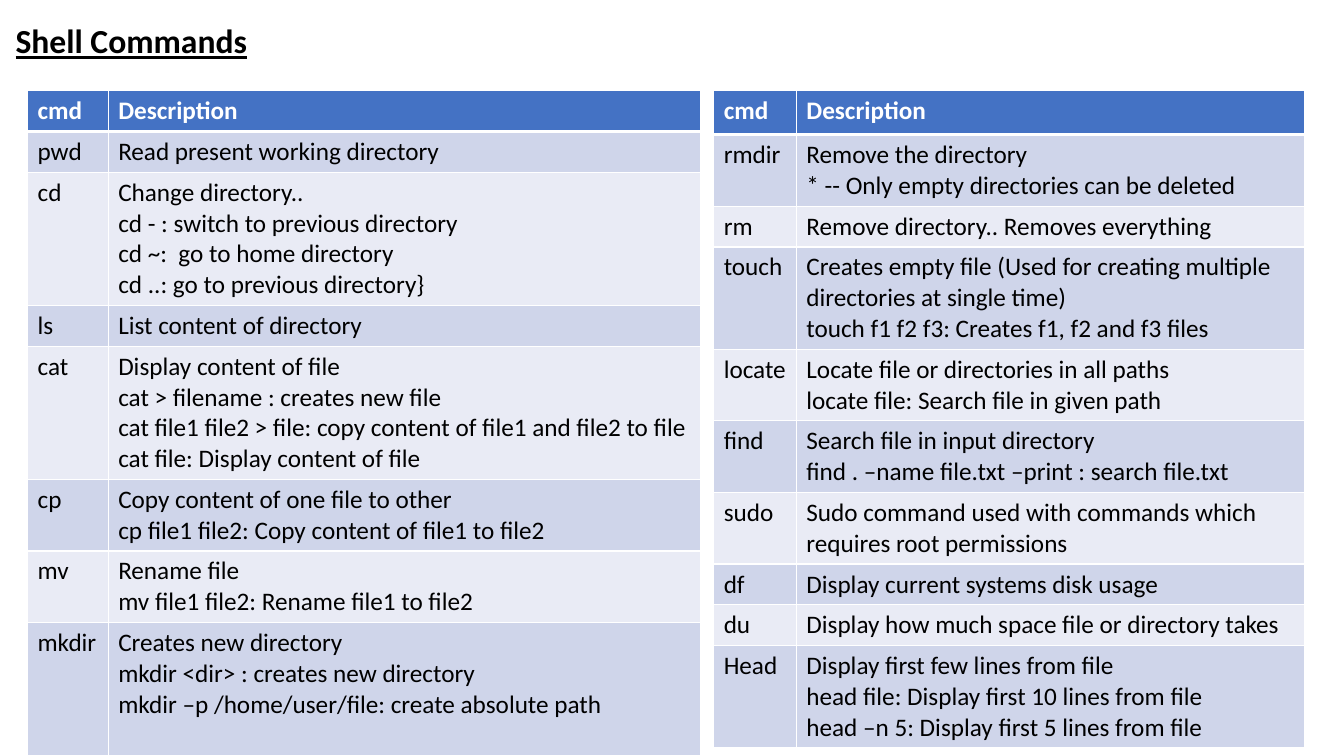
from dataclasses import dataclass

from lxml import etree
from pptx import Presentation
from pptx import util as u
from pptx.dml.color import RGBColor
from pptx.enum import text
from pptx.oxml.ns import qn


@dataclass(frozen=True)
class Theme:
    font: str = "Calibri"
    big: int = 24
    body: int = 18
    ink: str = "000000"
    white: str = "FFFFFF"
    head: str = "4472C4"
    odd: str = "CFD5EA"
    even: str = "E9EBF5"
    thin: int = 1
    thick: int = 3


THEME = Theme()
WIDE, HIGH = u.Inches(13.33), u.Inches(7.5)
LINE, PAD = 4.07, 1.33  # text line and cell padding, percent of slide height

# Each row: command, height in text lines, description paragraphs
LEFT = [
    ("pwd", 1, ["Read present working directory"]),
    ("cd", 4, ["Change directory..",
               "cd - : switch to previous directory",
               "cd ~:  go to home directory",
               "cd ..: go to previous directory}"]),
    ("ls", 1, ["List content of directory"]),
    ("cat", 4, ["Display content of file",
                "cat > filename : creates new file",
                "cat file1 file2 > file: copy content of file1 and file2 to file",
                "cat file: Display content of file"]),
    ("cp", 2, ["Copy content of one file to other",
               "cp file1 file2: Copy content of file1 to file2"]),
    ("mv", 2, ["Rename file", "mv file1 file2: Rename file1 to file2"]),
    ("mkdir", 4, ["Creates new directory",
                  "mkdir <dir> : creates new directory",
                  "mkdir –p /home/user/file: create absolute path"]),
]
RIGHT = [
    ("rmdir", 2, ["Remove the directory",
                  "* -- Only empty directories can be deleted"]),
    ("rm", 1, ["Remove directory.. Removes everything"]),
    ("touch", 3, ["Creates empty file (Used for creating multiple "
                  "directories at single time)",
                  "touch f1 f2 f3: Creates f1, f2 and f3 files"]),
    ("locate", 2, ["Locate file or directories in all paths",
                   "locate file: Search file in given path"]),
    ("find", 2, ["Search file in input directory",
                 "find . –name file.txt –print : search file.txt"]),
    ("sudo", 2, ["Sudo command used with commands which "
                 "requires root permissions"]),
    ("df", 1, ["Display current systems disk usage"]),
    ("du", 1, ["Display how much space file or directory takes"]),
    ("Head", 3, ["Display first few lines from file",
                 "head file: Display first 10 lines from file",
                 "head –n 5: Display first 5 lines from file"]),
]


def across(pct):
    return u.Emu(int(WIDE * pct / 100))


def down(pct):
    return u.Emu(int(HIGH * pct / 100))


def add_run(para, words, size, color, bold=False, under=False):
    run = para.add_run()
    run.text = words
    font = run.font
    font.name, font.size = THEME.font, u.Pt(size)
    font.bold, font.underline = bold, under
    font.color.rgb = RGBColor.from_string(color)


def add_title(slide, words):
    box = slide.shapes.add_textbox(0, down(1.4), across(19.55), down(7.33))
    frame = box.text_frame
    frame.word_wrap = True
    frame.vertical_anchor = text.MSO_ANCHOR.BOTTOM
    para = frame.paragraphs[0]
    para.alignment = text.PP_ALIGN.CENTER
    para.line_spacing = 0.9
    add_run(para, words, THEME.big, THEME.ink, bold=True, under=True)


def add_edges(cell, widths):
    """Draw white borders; widths are points for left, right, top, bottom."""
    props = cell._tc.get_or_add_tcPr()
    for side, width in zip("LRTB", widths):
        edge = etree.SubElement(props, qn(f"a:ln{side}"), w=str(u.Pt(width)))
        fill = etree.SubElement(edge, qn("a:solidFill"))
        etree.SubElement(fill, qn("a:srgbClr"), val=THEME.white)


def fill_cell(cell, lines, row):
    thin, thick = THEME.thin, THEME.thick
    add_edges(cell, (thin, thin, thick if row == 1 else thin,
                     thick if row == 0 else thin))
    back = THEME.head if row == 0 else THEME.odd if row % 2 else THEME.even
    cell.fill.solid()
    cell.fill.fore_color.rgb = RGBColor.from_string(back)
    frame = cell.text_frame
    for i, words in enumerate(lines):
        para = frame.add_paragraph() if i else frame.paragraphs[0]
        add_run(para, words, THEME.body,
                THEME.ink if row else THEME.white, bold=row == 0)


def add_grid(slide, left, cols, head, rows):
    """Add a command table; left, cols and head are percents of the slide."""
    highs = [head] + [PAD + LINE * count for _, count, _ in rows]
    cells = [("cmd", ["Description"])] + [(cmd, desc) for cmd, _, desc in rows]
    table = slide.shapes.add_table(
        len(cells), len(cols), across(left), down(12),
        across(sum(cols)), down(sum(highs))).table
    for col, wide in zip(table.columns, cols):
        col.width = across(wide)
    for i, (cmd, desc) in enumerate(cells):
        table.rows[i].height = down(highs[i])
        fill_cell(table.cell(i, 0), [cmd], i)
        fill_cell(table.cell(i, 1), desc, i)


def main():
    deck = Presentation()
    deck.slide_width, deck.slide_height = WIDE, HIGH
    slide = deck.slides.add_slide(deck.slide_layouts[6])
    add_title(slide, "Shell Commands")
    add_grid(slide, 2.05, (6, 44.1), 5.4, LEFT)
    add_grid(slide, 53.1, (6.15, 37.85), 5.8, RIGHT)
    deck.save("out.pptx")


if __name__ == "__main__":
    main()
